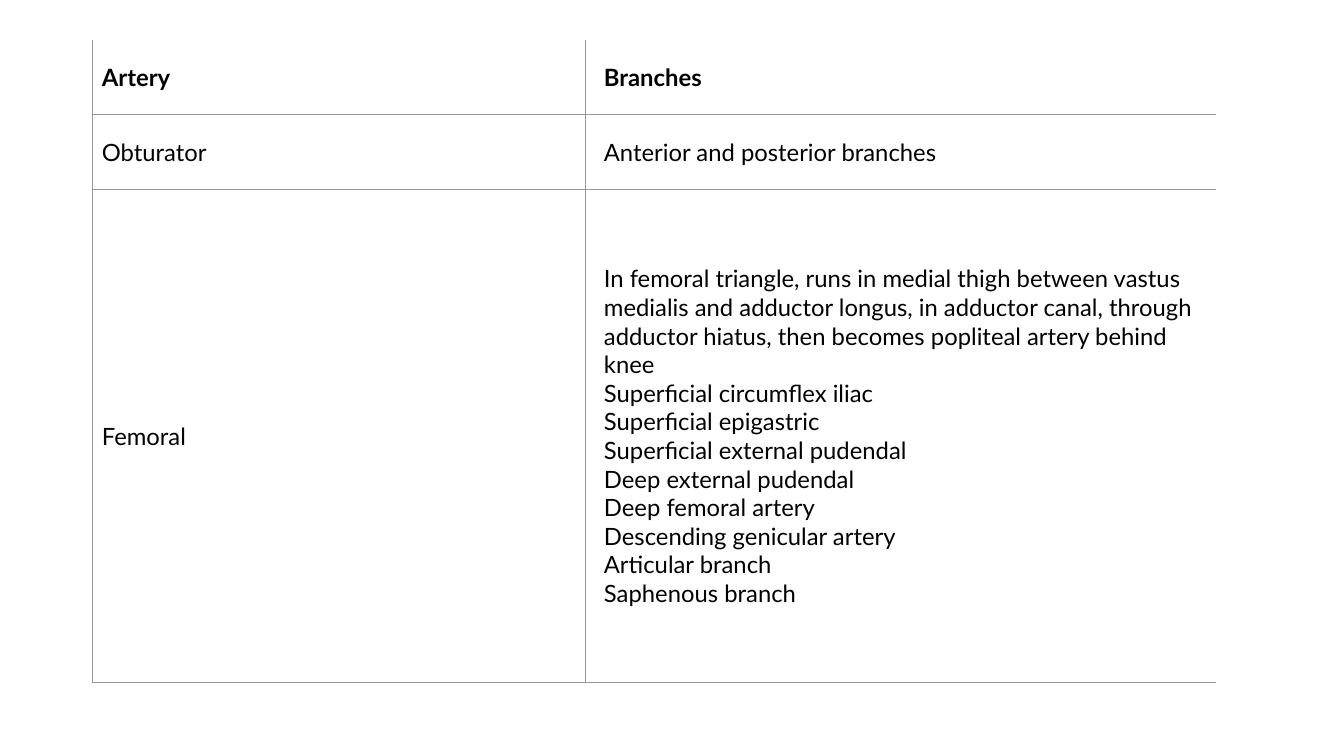
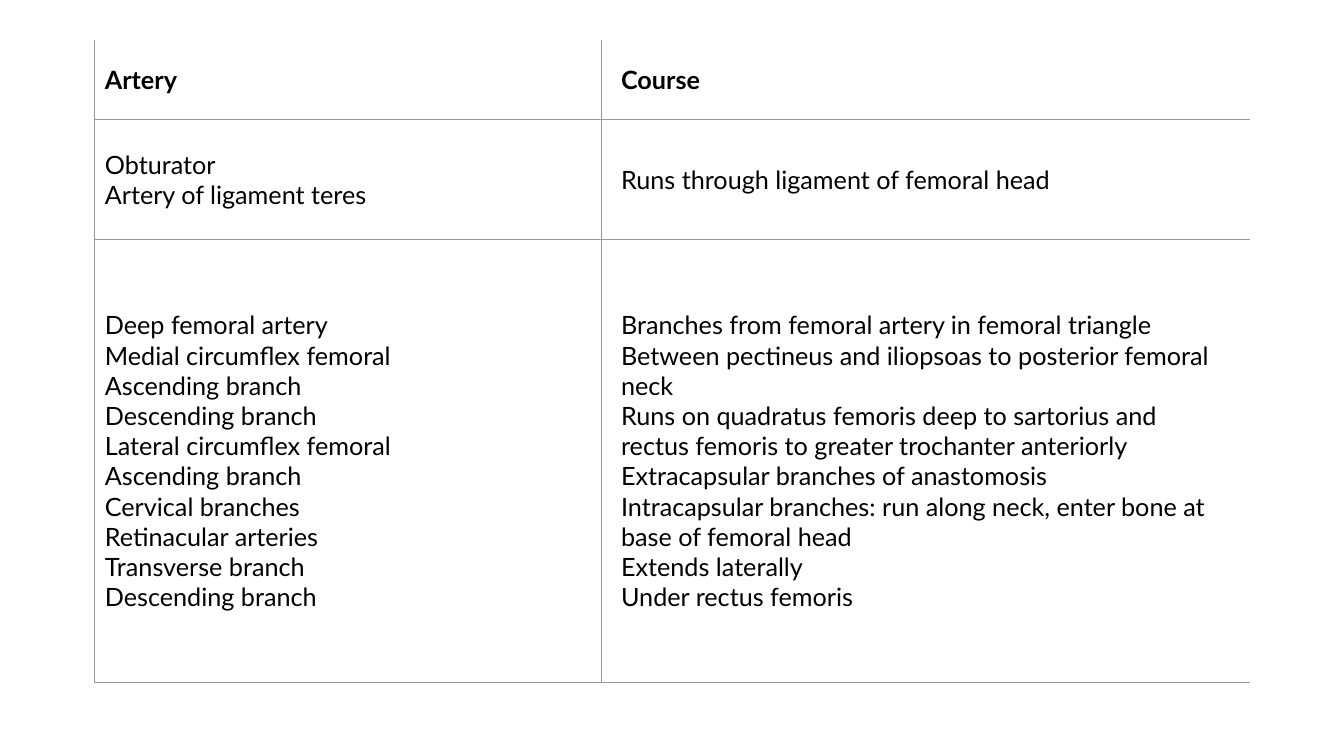
from lxml import etree
from pptx import Presentation
from pptx.dml.color import RGBColor
from pptx.enum.text import MSO_ANCHOR
from pptx.oxml.ns import qn
from pptx.util import Inches, Pt

FONT = "Lato"
TEXT, PAPER, RULE = "000000", "FFFFFF", "979797"
TOP = 0.4


def rgb(value):
    return RGBColor.from_string(value)


def set_border(cell, side, points):
    """Rule one side (L, R, T or B) of a cell; 0 points leaves it open."""
    line = etree.SubElement(cell._tc.get_or_add_tcPr(), qn(f"a:ln{side}"), w=str(Pt(points)))
    if points:
        fill = etree.SubElement(line, qn("a:solidFill"))
        etree.SubElement(fill, qn("a:srgbClr"), val=RULE)
    else:
        etree.SubElement(line, qn("a:noFill"))


branches = {
    "left": 0.92, "columns": [4.89, 6.25], "rows": [0.74, 0.74, 4.89],
    "size": 17, "indent": 0.09, "padding": 0.18, "vertical": 0.14,
    "content": [
        (["Artery"], ["Branches"]),
        (["Obturator"], ["Anterior and posterior branches"]),
        (["Femoral"], [
            "In femoral triangle, runs in medial thigh between vastus medialis and "
            "adductor longus, in adductor canal, through adductor hiatus, then becomes "
            "popliteal artery behind knee",
            "Superficial circumflex iliac",
            "Superficial epigastric",
            "Superficial external pudendal",
            "Deep external pudendal",
            "Deep femoral artery",
            "Descending genicular artery",
            "Articular branch",
            "Saphenous branch",
        ]),
    ],
}

courses = {
    "left": 0.94, "columns": [5.03, 6.43], "rows": [0.79, 1.19, 4.39],
    "size": 18, "indent": 0.1, "padding": 0.19, "vertical": 0.15,
    "content": [
        (["Artery"], ["Course"]),
        (["Obturator", "Artery of ligament teres"], ["Runs through ligament of femoral head"]),
        ([
            "Deep femoral artery",
            "Medial circumflex femoral",
            "Ascending branch",
            "Descending branch",
            "Lateral circumflex femoral",
            "Ascending branch",
            "Cervical branches",
            "Retinacular arteries",
            "Transverse branch",
            "Descending branch",
        ], [
            "Branches from femoral artery in femoral triangle",
            "Between pectineus and iliopsoas to posterior femoral neck",
            "Runs on quadratus femoris deep to sartorius and rectus femoris to greater "
            "trochanter anteriorly",
            "Extracapsular branches of anastomosis",
            "Intracapsular branches: run along neck, enter bone at base of femoral head",
            "Extends laterally",
            "Under rectus femoris",
        ]),
    ],
}

prs = Presentation()
prs.slide_width, prs.slide_height = Inches(13.33), Inches(7.5)

for topic in (branches, courses):
    slide = prs.slides.add_slide(prs.slide_layouts[6])
    widths, heights = topic["columns"], topic["rows"]
    table = slide.shapes.add_table(
        len(heights), len(widths), Inches(topic["left"]), Inches(TOP),
        Inches(sum(widths)), Inches(sum(heights))).table
    table.first_row = table.horz_banding = False
    for column, width in zip(table.columns, widths):
        column.width = Inches(width)
    for row, height in zip(table.rows, heights):
        row.height = Inches(height)

    for r, entry in enumerate(topic["content"]):
        for c, lines in enumerate(entry):
            cell = table.cell(r, c)
            cell.text = "\n".join(lines)
            cell.vertical_anchor = MSO_ANCHOR.MIDDLE
            cell.margin_left = Inches(topic["padding"] if c else topic["indent"])
            cell.margin_right = Inches(topic["padding"])
            cell.margin_top = cell.margin_bottom = Inches(topic["vertical"])
            for paragraph in cell.text_frame.paragraphs:
                paragraph.font.name = FONT
                paragraph.font.size = Pt(topic["size"])
                paragraph.font.bold = r == 0
                paragraph.font.color.rgb = rgb(TEXT)
            # The top and right edges of the table stay open.
            set_border(cell, "L", 0.75 if c else 1)
            set_border(cell, "R", 0 if c else 0.75)
            set_border(cell, "T", 0.75 if r else 0)
            set_border(cell, "B", 0.75)
            cell.fill.solid()
            cell.fill.fore_color.rgb = rgb(PAPER)

prs.save("out.pptx")
